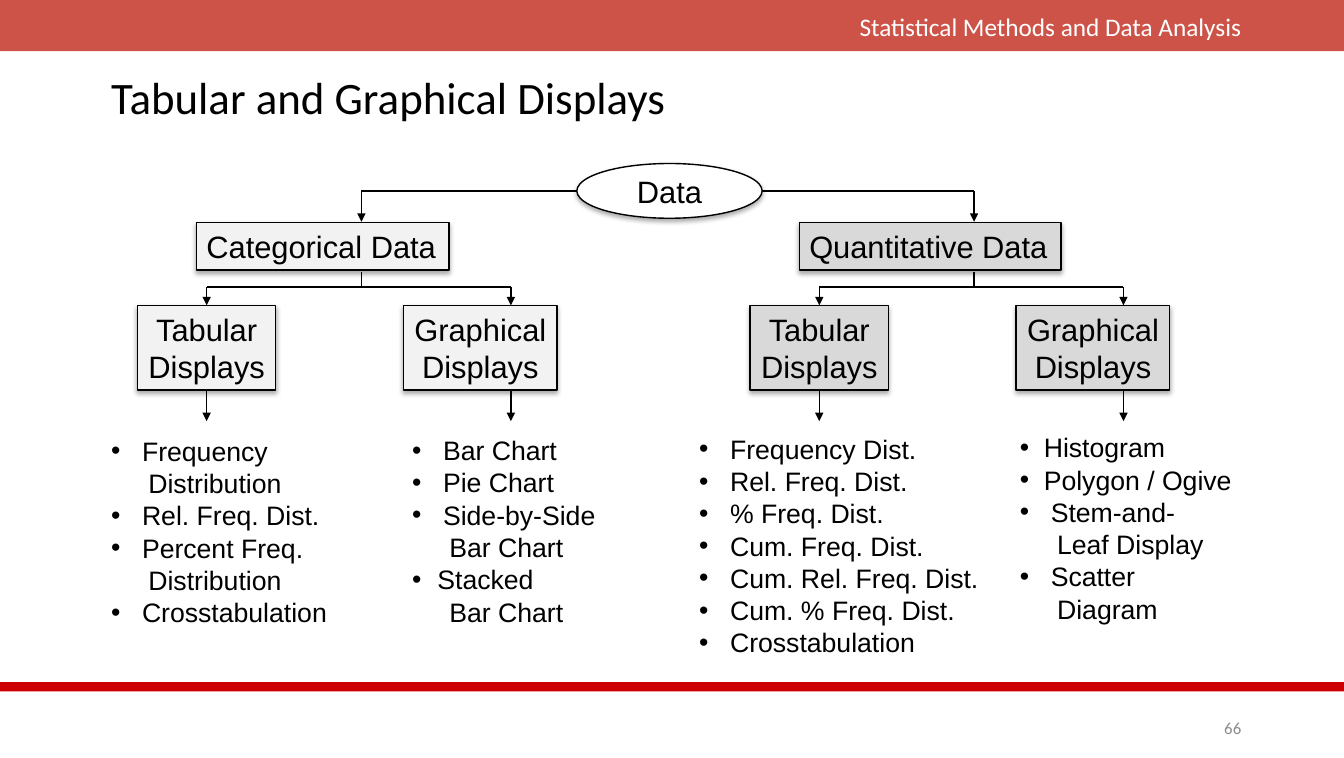
from lxml import etree
from pptx import Presentation
from pptx.dml.color import RGBColor
from pptx.enum.shapes import MSO_CONNECTOR, MSO_SHAPE
from pptx.enum.text import MSO_ANCHOR, MSO_AUTO_SIZE, PP_ALIGN
from pptx.oxml.ns import qn
from pptx.util import Pt

LINE = MSO_CONNECTOR.STRAIGHT
RECT, OVAL = MSO_SHAPE.RECTANGLE, MSO_SHAPE.OVAL
TOP, MIDDLE = MSO_ANCHOR.TOP, MSO_ANCHOR.MIDDLE
FIXED = MSO_AUTO_SIZE.NONE
LEFT, CENTER, RIGHT = PP_ALIGN.LEFT, PP_ALIGN.CENTER, PP_ALIGN.RIGHT
BLACK, WHITE = "000000", "FFFFFF"
WIDE, HIGH = 957.6, 540
WRAP = 26.5
LISTS = [
    ((72, 292, 212, 173), [
        ("Frequency", 22), ("Distribution", WRAP), ("Rel. Freq. Dist.", 22),
        ("Percent Freq.", 22), ("Distribution", WRAP), ("Crosstabulation", 22)]),
    ((286.5, 303.5, 163, 149), [
        ("Bar Chart", 22), ("Pie Chart", 22), ("Side-by-Side", 22),
        ("Bar Chart", WRAP), ("Stacked", 18), ("Bar Chart", WRAP)]),
    ((491, 292, 231, 193), [
        ("Frequency Dist.", 22), ("Rel. Freq. Dist.", 22), ("% Freq. Dist.", 22),
        ("Cum. Freq. Dist.", 22), ("Cum. Rel. Freq. Dist.", 22),
        ("Cum. % Freq. Dist.", 22), ("Crosstabulation", 22)]),
    ((719.5, 284, 189, 184), [
        ("Histogram", 17), ("Polygon / Ogive", 17), ("Stem-and-", 22),
        ("Leaf Display", WRAP), ("Scatter", 22), ("Diagram", WRAP)]),
]


def paint(fmt, color):
    """Give a fill or font format a solid hex colour."""
    if hasattr(fmt, "solid"):
        fmt.solid()
        fmt.fore_color.rgb = RGBColor.from_string(color)
    else:
        fmt.color.rgb = RGBColor.from_string(color)


def place(shape, box):
    """Move a shape to a box of left, top, width and height."""
    shape.left, shape.top, shape.width, shape.height = map(Pt, box)


def style(para, size, face, color=BLACK, align=LEFT):
    """Set the font and alignment of a paragraph."""
    para.alignment = align
    para.font.size, para.font.name, para.font.bold = Pt(size), face, False
    paint(para.font, color)


def frame(shape, anchor, wrap=True):
    """Fix the size, anchor and wrapping of a text frame and return it."""
    text = shape.text_frame
    text.auto_size, text.vertical_anchor, text.word_wrap = FIXED, anchor, wrap
    return text


def label(slide, box, words, size, color):
    """Add one line of right-aligned text."""
    text = frame(slide.shapes.add_textbox(*map(Pt, box)), MIDDLE)
    text.text = words
    style(text.paragraphs[0], size, "Calibri", color, RIGHT)


def band(slide, box, color):
    """Add a plain strip and return it."""
    strip = slide.shapes.add_shape(RECT, *map(Pt, box))
    strip.shadow.inherit = False
    paint(strip.fill, color)
    strip.line.fill.background()
    return strip


def node(slide, box, words, fill, kind=RECT, align=CENTER):
    """Add an outlined shape with a soft shadow below and return it."""
    shape = slide.shapes.add_shape(kind, *map(Pt, box))
    shape.shadow.inherit = False
    paint(shape.fill, fill)
    paint(shape.line, BLACK)
    shape.line.width = Pt(1)
    glow = etree.SubElement(
        shape._element.spPr.find(qn("a:effectLst")), qn("a:outerShdw"),
        blurRad=str(Pt(3.5)), dist=str(Pt(2.2)), dir="5400000", rotWithShape="0")
    tint = etree.SubElement(glow, qn("a:srgbClr"), val=BLACK)
    etree.SubElement(tint, qn("a:alpha"), val="32000")
    text = frame(shape, MIDDLE if kind == OVAL else TOP, False)
    text.text = words
    for para in text.paragraphs:
        style(para, 22, "Arial", BLACK, align)
        para.line_spacing = Pt(26.5)
    return shape


def link(slide, x1, y1, x2, y2, arrow=False):
    """Add a thin line, with an arrowhead if asked, and return it."""
    line = slide.shapes.add_connector(LINE, *map(Pt, (x1, y1, x2, y2)))
    paint(line.line, BLACK)
    line.line.width = Pt(1)
    if arrow:
        etree.SubElement(line.line._get_or_add_ln(), qn("a:tailEnd"), type="triangle")
    etree.SubElement(line._element.spPr, qn("a:effectLst"))
    return line


def branch(slide, x, edge, name, inset, wide, fill):
    """Draw one kind of data and its two displays from the left x."""
    hub, mid, far = x + 159.5, x + 49.25, x + 266
    link(slide, edge, 136, hub, 136)
    link(slide, hub, 136, hub, 158, True)
    node(slide, (x + inset, 158.5, wide, 34), name, fill, align=LEFT)
    link(slide, hub, 193.5, hub, 204.5)
    link(slide, mid, 204.5, far, 204.5)
    tab = node(slide, (x, 217.5, 98.5, 60.5), "Tabular\nDisplays", fill)
    node(slide, (x + 189.5, 217.5, 109.5, 60.5), "Graphical\nDisplays", fill)
    link(slide, mid, 204.5, mid, 217.5, True).end_connect(tab, 0)
    link(slide, far, 204.5, far, 217.5, True)
    link(slide, mid, 278, mid, 300, True).begin_connect(tab, 2)
    link(slide, far, 278, far, 300, True)


def bullets(holder, box, items):
    """Fill a body placeholder with items, each with its own indent."""
    place(holder, box)
    text = frame(holder, MIDDLE)
    text.text = "\n".join(words for words, _ in items)
    for para, (_, indent) in zip(text.paragraphs, items):
        para.space_before = para.space_after = Pt(0)
        para.line_spacing = Pt(23)
        props = para._p.get_or_add_pPr()
        props.set("marL", str(Pt(indent)))
        if indent == WRAP:
            props.set("indent", "0")
            etree.SubElement(props, qn("a:buNone"))
        else:
            props.set("indent", str(-Pt(indent)))
            etree.SubElement(props, qn("a:buFont"), typeface="Arial")
            etree.SubElement(props, qn("a:buChar"), char="•")
        style(para, 19, "Arial")


def trim(slide):
    """Draw the header, the footer rule and the page number."""
    head = band(slide, (0, 0, WIDE, 36.5), "BF2317")
    tint = head._element.spPr.find(qn("a:solidFill"))[0]
    etree.SubElement(tint, qn("a:alpha"), val="78000")
    label(slide, (435.5, 4, 456, 29), "Statistical Methods and Data Analysis", 18, WHITE)
    band(slide, (0, 486, WIDE, 6.5), "CC0000")
    label(slide, (842.5, 508, 49, 21.5), "66", 12, "8C8C8C")


def heading(slide, box, words):
    """Fill the title placeholder."""
    place(slide.shapes.title, box)
    text = frame(slide.shapes.title, MIDDLE)
    text.text = words
    style(text.paragraphs[0], 32, "Calibri")
    text.paragraphs[0].line_spacing = 0.9


def main():
    """Build and save the slide."""
    deck = Presentation()
    deck.slide_width, deck.slide_height = Pt(WIDE), Pt(HIGH)
    slide = deck.slides.add_slide(deck.slide_layouts[4])
    trim(slide)
    heading(slide, (72, 39, 814, 64), "Tabular and Graphical Displays")
    for spot, (box, items) in enumerate(LISTS, 1):
        bullets(slide.placeholders[spot], box, items)
    branch(slide, 98, 411, "Categorical Data", 42, 180, "F2F2F2")
    branch(slide, 534.5, 543, "Quantitative Data", 35, 186.5, "D9D9D9")
    node(slide, (411, 116.5, 132, 39), "Data", WHITE, OVAL)
    deck.save("out.pptx")


if __name__ == "__main__":
    main()
